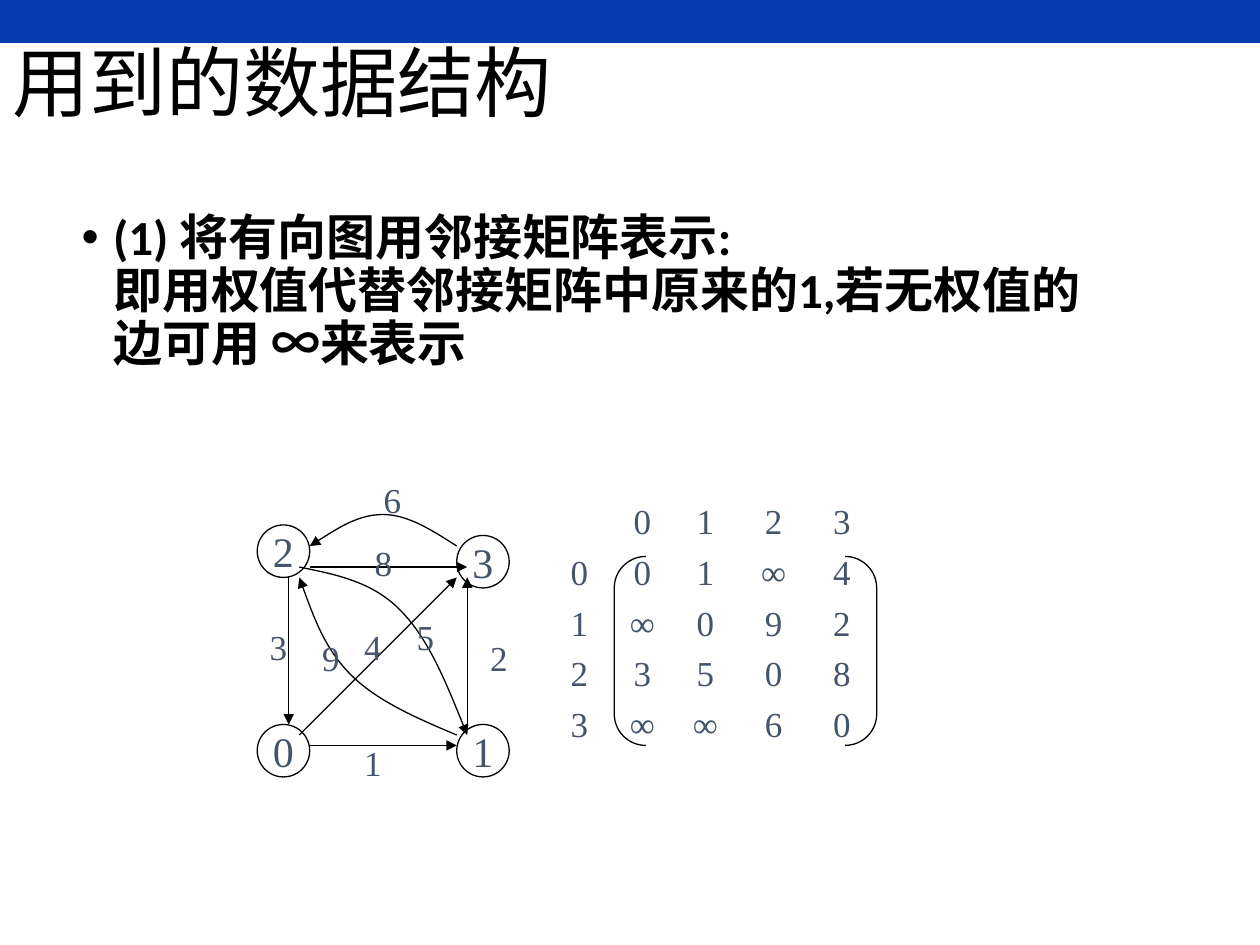
"""Build a slide showing a weighted directed graph beside its adjacency matrix."""
from dataclasses import dataclass

from lxml import etree
from pptx import Presentation
from pptx import util as u
from pptx.dml.color import RGBColor
from pptx.enum import shapes, text
from pptx.oxml import ns


@dataclass(frozen=True)
class Theme:
    """Colours, fonts and type sizes of the slide."""
    band: str = "053CAF"
    ink: str = "000000"
    slate: str = "44546A"
    heading_font: str = "Noto Sans CJK SC"
    body_font: str = "Calibri"
    math_font: str = "Times New Roman"
    title: float = 44
    body: float = 28
    node: float = 24
    label: float = 20
    stroke: float = 0.75


THEME = Theme()
COLUMNS, ROWS = 240, 180
CELL = u.Inches(10) // COLUMNS
NODE_SIZE = 10
NODES = {"2": (49, 100), "3": (87, 102), "1": (87, 138), "0": (49, 138)}
STRAIGHT_EDGES = [
    ((57, 140), (87, 110)),
    ((59, 108), (89, 108)),
    ((55, 110), (55, 138)),
    ((59, 142), (87, 142)),
    ((89, 138), (89, 110)),
]
CURVED_EDGES = [
    [(87, 104), (82.3, 101), (77.7, 98), (73, 98), (68.3, 98), (63.7, 101), (59, 104)],
    [(57, 108), (63.8, 109.4), (70.7, 110.7), (76, 116),
     (81.5, 121.4), (85.2, 130.6), (89, 140)],
    [(87, 140), (79.4, 136.8), (72, 133.6), (67, 128.7),
     (62, 123.8), (59.5, 116.9), (57, 110)],
]
WEIGHTS = [("6", 70.7, 90), ("4", 67, 118), ("2", 91, 120), ("8", 69, 102),
           ("3", 49, 118), ("9", 59, 120), ("5", 77, 116), ("1", 67, 140)]
MATRIX = ["01∞4", "∞092", "3508", "∞∞60"]
MATRIX_TABS = [63, 75, 87, 100, 113]


def cells(*counts):
    """Convert grid counts to slide lengths."""
    return [u.Emu(round(count * CELL)) for count in counts]


def add_xml(parent, tag, **attributes):
    """Append a DrawingML element and return it."""
    return etree.SubElement(parent, ns.qn(tag), attributes)


def style(font, size, name, color, bold=None):
    """Apply type settings to a font."""
    font.size, font.name, font.bold = u.Pt(size), name, bold
    font.color.rgb = RGBColor.from_string(color)


def add_text(slide, left, top, width, height):
    """Add a wrapping text box and return its frame."""
    frame = slide.shapes.add_textbox(*cells(left, top, width, height)).text_frame
    frame.word_wrap = True
    return frame


def add_outline(slide, preset, left, top, width, height):
    """Add an unfilled preset shape with a thin line."""
    outline = slide.shapes.add_shape(preset, *cells(left, top, width, height))
    outline.shadow.inherit = False
    outline.fill.background()
    draw_line(outline)
    return outline


def draw_line(figure, arrow=False):
    """Set the thin dark line, with an arrowhead at its end if asked."""
    figure.line.color.rgb = RGBColor.from_string(THEME.ink)
    figure.line.width = u.Pt(THEME.stroke)
    if arrow:
        add_xml(figure.line._get_or_add_ln(), "a:tailEnd", type="triangle")


def add_band(slide):
    """Add the coloured band along the top edge."""
    band = slide.shapes.add_shape(shapes.MSO_SHAPE.RECTANGLE, *cells(0, 0, COLUMNS, 8.2))
    band.shadow.inherit = False
    band.fill.solid()
    band.fill.fore_color.rgb = RGBColor.from_string(THEME.band)
    band.line.fill.background()


def add_title(slide):
    """Add the slide heading."""
    frame = add_text(slide, 0, 7.2, 196, 18.5)
    frame.vertical_anchor = text.MSO_ANCHOR.MIDDLE
    heading = frame.paragraphs[0]
    heading.text = "用到的数据结构"
    heading.line_spacing = 0.9
    style(heading.font, THEME.title, THEME.heading_font, THEME.ink)


def add_explanation(slide):
    """Add the bulleted explanation."""
    point = add_text(slide, 13.2, 39.4, 196, 118.8).paragraphs[0]
    properties = point._p.get_or_add_pPr()
    indent = u.Inches(0.25)
    properties.set("marL", str(indent))
    properties.set("indent", str(-indent))
    add_xml(properties, "a:buFont", typeface="Arial")
    add_xml(properties, "a:buChar", char="•")
    point.line_spacing = 0.9
    style(point.font, THEME.body, THEME.body_font, THEME.ink, bold=True)
    point.add_run().text = "(1) 将有向图用邻接矩阵表示:"
    point.add_line_break()
    point.add_run().text = "即用权值代替邻接矩阵中原来的1,若无权值的边可用 "
    infinity = point.add_run()
    infinity.text = "∞"
    infinity.font.name = THEME.math_font
    point.add_run().text = "来表示"


def add_matrix(slide):
    """Add the bracketed adjacency matrix with its row and column indices."""
    frame = add_text(slide, 45, 94, 124, 63)
    lines = [["", *"0123"]] + [[str(i), *row] for i, row in enumerate(MATRIX)]
    for number, entries in enumerate(lines):
        row = frame.add_paragraph() if number else frame.paragraphs[0]
        row.text = "".join("\t" + entry for entry in entries)
        stops = add_xml(row._p.get_or_add_pPr(), "a:tabLst")
        for position in cells(*MATRIX_TABS):
            add_xml(stops, "a:tab", pos=str(position), algn="ctr")
        if number:
            row.space_before = u.Pt(5)
        style(row.font, THEME.label, THEME.math_font, THEME.slate)
    bracket = add_outline(slide, shapes.MSO_SHAPE.DOUBLE_BRACKET, 117, 106, 50, 36)
    bracket.adjustments[0] = 0.167


def add_node(slide, name, left, top):
    """Add a numbered graph node."""
    node = add_outline(slide, shapes.MSO_SHAPE.OVAL, left, top, NODE_SIZE, NODE_SIZE)
    frame = node.text_frame
    frame.word_wrap = False
    frame.vertical_anchor = text.MSO_ANCHOR.MIDDLE
    number = frame.paragraphs[0]
    number.text = name
    number.alignment = text.PP_ALIGN.CENTER
    style(number.font, THEME.node, THEME.math_font, THEME.slate)


def add_straight_edge(slide, start, end):
    """Add a straight directed edge."""
    edge = slide.shapes.add_connector(shapes.MSO_CONNECTOR.STRAIGHT, *cells(*start, *end))
    draw_line(edge, arrow=True)
    add_xml(edge._element.spPr, "a:effectLst")


def add_curved_edge(slide, points):
    """Add a directed edge through cubic Bézier control points."""
    start, *controls = [cells(*point) for point in points]
    builder = slide.shapes.build_freeform(*start)
    builder.add_line_segments(controls, close=False)
    edge = builder.convert_to_shape()
    segments = list(edge._element.iter(ns.qn("a:lnTo")))
    outline = segments[0].getparent()
    for first in range(0, len(segments), 3):
        curve = add_xml(outline, "a:cubicBezTo")
        for segment in segments[first:first + 3]:
            curve.append(segment[0])
            outline.remove(segment)
    edge.shadow.inherit = False
    edge.fill.background()
    draw_line(edge, arrow=True)


def add_weight(slide, value, left, top):
    """Add the weight beside an edge."""
    weight = add_text(slide, left, top, 10, 10.3).paragraphs[0]
    weight.text = value
    style(weight.font, THEME.label, THEME.math_font, THEME.slate)


def main():
    """Build and save the slide."""
    deck = Presentation()
    deck.slide_width, deck.slide_height = cells(COLUMNS, ROWS)
    slide = deck.slides.add_slide(deck.slide_layouts[6])
    add_band(slide)
    add_title(slide)
    add_explanation(slide)
    add_matrix(slide)
    for name, corner in NODES.items():
        add_node(slide, name, *corner)
    for start, end in STRAIGHT_EDGES:
        add_straight_edge(slide, start, end)
    for points in CURVED_EDGES:
        add_curved_edge(slide, points)
    for weight in WEIGHTS:
        add_weight(slide, *weight)
    deck.save("out.pptx")


if __name__ == "__main__":
    main()
